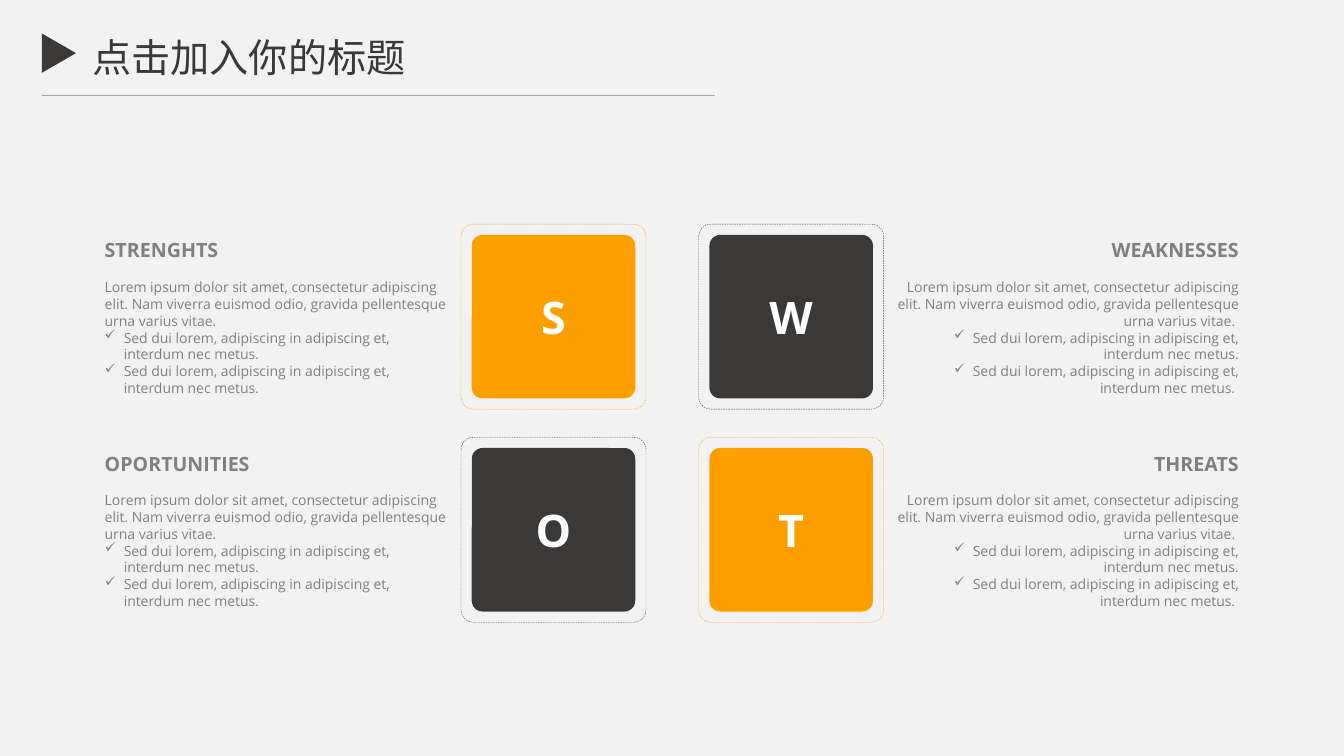
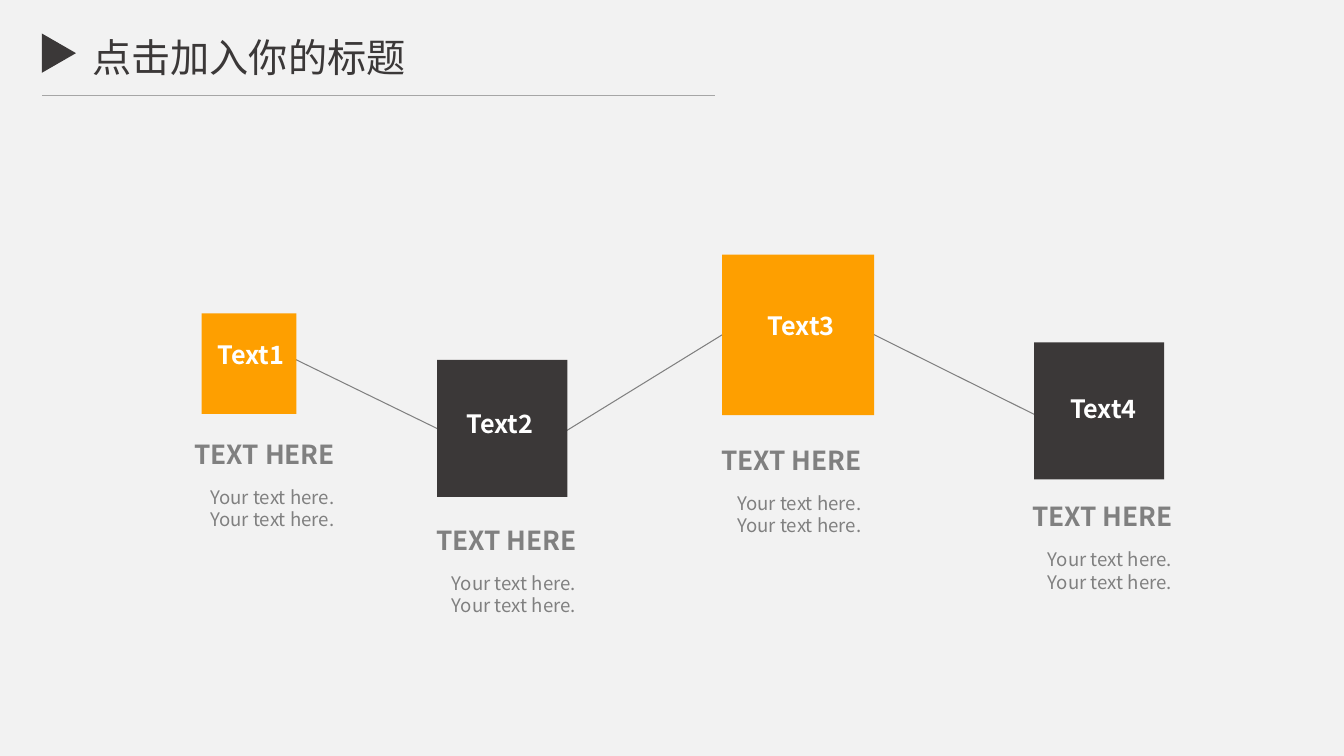
from lxml import etree
from pptx import Presentation
from pptx.dml.color import RGBColor
from pptx.enum.dml import MSO_LINE
from pptx.enum.shapes import MSO_CONNECTOR, MSO_SHAPE
from pptx.enum.text import MSO_ANCHOR, MSO_AUTO_SIZE, PP_ALIGN
from pptx.oxml.ns import qn
from pptx.util import Cm, Pt

ORANGE, DARK, GREY = "FE9F00", "3B3838", "808080"
RULE, PAPER, WHITE = "A6A6A6", "F2F2F2", "FFFFFF"
CJK, LATIN = "Noto Sans CJK SC", "Open Sans"
LEFT, CENTER, RIGHT = PP_ALIGN.LEFT, PP_ALIGN.CENTER, PP_ALIGN.RIGHT

TITLE = "点击加入你的标题"
INTRO = ("Lorem ipsum dolor sit amet, consectetur adipiscing elit. "
         "Nam viverra euismod odio, gravida pellentesque urna varius vitae.")
POINT = "Sed dui lorem, adipiscing in adipiscing et, interdum nec metus."


def rgb(color):
    return RGBColor.from_string(color)


def box(*lengths):
    return [Cm(v) for v in lengths]


def add_bullet(p, char, indent):
    pPr = p._p.get_or_add_pPr()
    pPr.set("marL", str(Cm(indent)))
    pPr.set("indent", str(-Cm(indent)))
    etree.SubElement(pPr, qn("a:buChar")).set("char", char)


def write(tf, text, size=10, font=CJK, color=GREY, bold=False, align=LEFT,
          line=None, before=None, bullet=None):
    p = tf.paragraphs[0]
    if p.runs:
        p = tf.add_paragraph()
    p.alignment = align
    if line:
        p.line_spacing = Pt(line)
    if before:
        p.space_before = Pt(before)
    if bullet:
        add_bullet(p, bullet, 0.48)
    r = p.add_run()
    r.text = text
    r.font.name, r.font.size, r.font.bold = font, Pt(size), bold
    r.font.color.rgb = rgb(color)
    ea = etree.Element(qn("a:ea"), typeface=font)
    r._r.rPr.find(qn("a:latin")).addnext(ea)


def add_text_box(s, x, y, w, h):
    tf = s.shapes.add_textbox(*box(x, y, w, h)).text_frame
    tf.word_wrap = True
    return tf


def add_block(s, kind, x, y, w, h, fill=None, dash=None, radius=None):
    sp = s.shapes.add_shape(kind, *box(x, y, w, h))
    sp.shadow.inherit = False
    if radius:
        sp.adjustments[0] = radius
    if fill:
        sp.fill.solid()
        sp.fill.fore_color.rgb = rgb(fill)
    else:
        sp.fill.background()
    if dash:
        sp.line.color.rgb = rgb(dash)
        sp.line.width = Pt(0.25)
        sp.line.dash_style = MSO_LINE.DASH
    else:
        sp.line.fill.background()
    return sp


def add_line(s, x1, y1, x2, y2, color, width):
    c = s.shapes.add_connector(MSO_CONNECTOR.STRAIGHT, *box(x1, y1, x2, y2))
    c.line.color.rgb = rgb(color)
    c.line.width = Pt(width)
    etree.SubElement(c._element.spPr, qn("a:effectLst"))


def add_titled_slide(prs):
    s = prs.slides.add_slide(prs.slide_layouts[5])
    title = s.shapes.title
    title.left, title.top, title.width, title.height = box(1.5, 0.76, 9.55, 1.19)
    tf = title.text_frame
    tf.margin_left = tf.margin_right = tf.margin_top = tf.margin_bottom = 0
    tf.vertical_anchor = MSO_ANCHOR.TOP
    tf.auto_size = MSO_AUTO_SIZE.NONE
    write(tf, TITLE, size=28, color=DARK, align=CENTER, line=36)
    marker = add_block(s, MSO_SHAPE.ISOSCELES_TRIANGLE, 0.99, 0.91, 0.99, 0.86, DARK)
    marker.rotation = 90
    add_line(s, 1.07, 2.41, 18.03, 2.41, RULE, 0.5)
    return s


def add_letter_tile(s, letter, x, y, color):
    rounded, gap, size = MSO_SHAPE.ROUNDED_RECTANGLE, 0.27, 4.12
    tile = add_block(s, rounded, x, y, size, size, color, radius=0.066)
    tile.text_frame.vertical_anchor = MSO_ANCHOR.MIDDLE
    write(tile.text_frame, letter, size=32, font=LATIN, color=WHITE, bold=True,
          align=CENTER)
    frame = size + 2 * gap
    add_block(s, rounded, x - gap, y - gap, frame, frame, dash=color, radius=0.066)


def add_description(s, heading, x, y, align):
    end = " " if align == RIGHT else ""
    style = dict(font=LATIN, align=align)
    tf = add_text_box(s, x, y, 9.22, 4.27)
    write(tf, heading, size=14, bold=True, line=18, **style)
    write(tf, INTRO + end, line=12, before=12, **style)
    for point in (POINT, POINT + end):
        write(tf, point, line=12, bullet="✓", **style)


def add_swot_slide(prs):
    s = add_titled_slide(prs)
    quadrants = [("STRENGHTS", ORANGE), ("WEAKNESSES", DARK),
                 ("OPORTUNITIES", DARK), ("THREATS", ORANGE)]
    for i, (heading, color) in enumerate(quadrants):
        row, col = divmod(i, 2)
        drop = 5.37 * row
        add_letter_tile(s, heading[0], 11.89 + 5.99 * col, 5.92 + drop, color)
        add_description(s, heading, (2.39, 22.25)[col], 5.84 + drop,
                        (LEFT, RIGHT)[col])


def add_caption(s, x, y):
    tf = add_text_box(s, x, y, 6.12, 1.07)
    write(tf, "TEXT HERE", size=18.7, bold=True, line=23)
    tf = add_text_box(s, x + 0.4, y + 1.22, 6.12, 1.4)
    for _ in range(2):
        write(tf, "Your text here.", size=13.3, line=16)


def add_steps_slide(prs):
    s = add_titled_slide(prs)
    links = [(7.37, 9.02, 11.02, 10.8), (14.25, 10.87, 18.21, 8.43),
             (22.02, 8.43, 26.06, 10.44)]
    for link in links:
        add_line(s, *link, GREY, 0.75)
    steps = [
        ((5.08, 7.9, 2.39, 2.53), (4.9, 8.38), (4.65, 10.9)),
        ((11.02, 9.07, 3.28, 3.45), (11.18, 10.11), (10.74, 13.06)),
        ((18.2, 6.42, 3.83, 4.04), (18.77, 7.65), (17.93, 11.05)),
        ((26.06, 8.63, 3.28, 3.45), (26.39, 9.75), (25.76, 12.47)),
    ]
    for i, (square, label, caption) in enumerate(steps):
        add_block(s, MSO_SHAPE.RECTANGLE, *square, (ORANGE, DARK)[i % 2])
        write(add_text_box(s, *label, 2.84, 1.27), f"Text{i + 1}", size=18,
              color=WHITE, bold=True, align=CENTER, line=23)
        add_caption(s, *caption)


def main():
    prs = Presentation()
    prs.slide_width, prs.slide_height = box(33.87, 19.05)
    fill = prs.slide_master.background.fill
    fill.solid()
    fill.fore_color.rgb = rgb(PAPER)
    add_swot_slide(prs)
    add_steps_slide(prs)
    prs.save("out.pptx")


if __name__ == "__main__":
    main()
